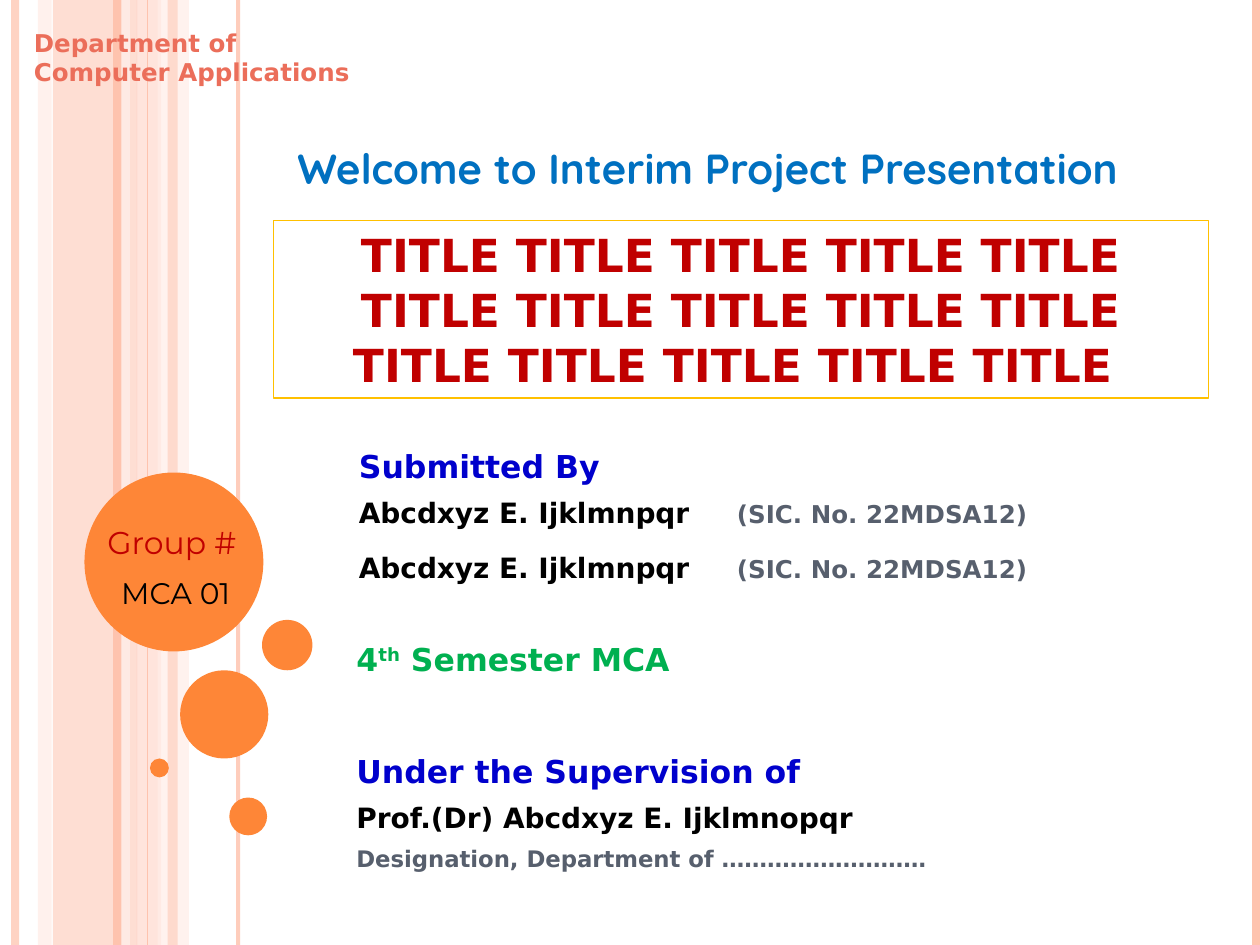
"""Build the interim project presentation title slide."""
from dataclasses import dataclass
from typing import Optional

from lxml import etree
from pptx import Presentation
from pptx import util as u
from pptx.dml.color import RGBColor
from pptx.enum import shapes, text
from pptx.oxml.ns import qn


@dataclass(frozen=True)
class Theme:
    rose: str = "FEC3AE"
    blush: str = "FFD9CE"
    pale: str = "FFEDE8"
    orange: str = "FE8637"
    coral: str = "EB6E5A"
    blue: str = "0000CC"
    sky: str = "0070C0"
    green: str = "00B050"
    red: str = "C00000"
    gold: str = "FFC000"
    slate: str = "575F6D"
    black: str = "000000"
    white: str = "FFFFFF"
    sans: str = "DejaVu Sans"
    round: str = "Quicksand"
    geometric: str = "Montserrat"
    title: int = 26
    welcome: int = 24
    heading: int = 18
    group: int = 17
    name: int = 16
    detail: int = 14
    small: int = 13


T = Theme()


@dataclass(frozen=True)
class Band:
    x: float
    w: float
    color: str
    alpha: int


@dataclass(frozen=True)
class Stripe:
    x: float
    pt: float
    color: str
    alpha: int = 100


@dataclass(frozen=True)
class Dot:
    x: float
    y: float
    d: float


@dataclass(frozen=True)
class Run:
    text: str
    size: int
    color: str
    font: str = T.sans
    bold: bool = True
    raised: bool = False


@dataclass(frozen=True)
class Para:
    runs: tuple[Run, ...]
    before: float = 0
    after: float = 0


HEIGHT = 7.5
BANDS = (Band(0.42, 0.67, T.rose, 54), Band(0.3, 0.11, T.blush, 36),
         Band(1.08, 0.2, T.blush, 70), Band(1.25, 0.25, T.pale, 71))
STRIPES = (Stripe(0.12, 4.5, T.rose, 73), Stripe(1, 4.5, T.pale, 83), Stripe(0.93, 4.5, T.rose),
           Stripe(1.89, 2.25, T.rose, 82), Stripe(1.17, 0.75, T.rose), Stripe(9.97, 4.5, T.rose))
TOP_BAND = Band(1.33, 0.08, T.rose, 51)
DOTS = (Dot(0.67, 3.75, 1.42), Dot(1.43, 5.32, 0.7), Dot(1.19, 6.02, 0.15),
        Dot(1.82, 6.33, 0.3), Dot(2.08, 4.92, 0.4))


def set_alpha(sp, alpha: int) -> None:
    """Make the colours of a shape partly transparent."""
    if alpha < 100:
        for clr in sp._element.spPr.iter(qn("a:srgbClr")):
            etree.SubElement(clr, qn("a:alpha")).set("val", str(alpha * 1000))


def add_box(s, kind, x: float, y: float, w: float, h: float,
            fill: Optional[str] = None, line: Optional[str] = None, alpha: int = 100):
    """Add a preset shape with an optional fill and thin outline."""
    sp = s.shapes.add_shape(kind, u.Inches(x), u.Inches(y), u.Inches(w), u.Inches(h))
    sp.shadow.inherit = False
    if fill:
        sp.fill.solid()
        sp.fill.fore_color.rgb = RGBColor.from_string(fill)
    else:
        sp.fill.background()
    if line:
        sp.line.color.rgb = RGBColor.from_string(line)
        sp.line.width = u.Pt(0.75)
    else:
        sp.line.fill.background()
    set_alpha(sp, alpha)
    return sp


def add_band(s, band: Band) -> None:
    """Add a full-height vertical band."""
    add_box(s, shapes.MSO_SHAPE.RECTANGLE, band.x, 0, band.w, HEIGHT, band.color, alpha=band.alpha)


def add_stripe(s, stripe: Stripe) -> None:
    """Add a full-height vertical line."""
    x = u.Inches(stripe.x)
    cx = s.shapes.add_connector(shapes.MSO_CONNECTOR.STRAIGHT, x, 0, x, u.Inches(HEIGHT))
    cx.line.color.rgb = RGBColor.from_string(stripe.color)
    cx.line.width = u.Pt(stripe.pt)
    set_alpha(cx, stripe.alpha)
    etree.SubElement(cx._element.spPr, qn("a:effectLst"))


def write(sp, *paras: Para, center: bool = False, wrap: bool = True, middle: bool = False) -> None:
    """Fill a shape with formatted paragraphs."""
    tf = sp.text_frame
    tf.word_wrap = wrap
    tf.vertical_anchor = text.MSO_ANCHOR.MIDDLE if middle else text.MSO_ANCHOR.TOP
    for i, para in enumerate(paras):
        p = tf.paragraphs[0] if i == 0 else tf.add_paragraph()
        p.alignment = text.PP_ALIGN.CENTER if center else text.PP_ALIGN.LEFT
        p.space_before, p.space_after = u.Pt(para.before), u.Pt(para.after)
        for run in para.runs:
            r = p.add_run()
            r.text = run.text
            r.font.name, r.font.size, r.font.bold = run.font, u.Pt(run.size), run.bold
            r.font.color.rgb = RGBColor.from_string(run.color)
            if run.raised:
                r.font._element.set("baseline", "30000")


def add_text(s, x: float, y: float, w: float, h: float, *paras: Para, **fmt: bool) -> None:
    """Add a text box holding formatted paragraphs."""
    write(s.shapes.add_textbox(u.Inches(x), u.Inches(y), u.Inches(w), u.Inches(h)), *paras, **fmt)


def student(name: str) -> Para:
    """Return the line for one student and number."""
    return Para((Run(f"{name}\t", T.name, T.black),
                 Run("(SIC. No. 22MDSA12)", T.detail, T.slate)), 6, 6)


def main() -> None:
    """Build and save the slide."""
    prs = Presentation()
    prs.slide_width, prs.slide_height = u.Inches(10), u.Inches(HEIGHT)
    s = prs.slides.add_slide(prs.slide_layouts[6])
    for band in BANDS:
        add_band(s, band)
    for stripe in STRIPES:
        add_stripe(s, stripe)
    add_band(s, TOP_BAND)
    for dot in DOTS:
        add_box(s, shapes.MSO_SHAPE.OVAL, dot.x, dot.y, dot.d, dot.d, T.orange)

    authors = add_box(s, shapes.MSO_SHAPE.RECTANGLE, 2.75, 3.5, 6.08, 1.4, line=T.white)
    write(authors, Para((Run("Submitted By", T.heading, T.blue),), 6),
          student("Abcdxyz E. Ijklmnpqr"), student("Abcdxyz E. Ijklmnpqr "))
    add_text(s, 0.17, 0.17, 3.75, 0.57,
             *(Para((Run(line, T.detail, T.coral),))
               for line in ("Department of", "Computer Applications")))
    add_text(s, 2.73, 5.92, 5.68, 1.17,
             Para((Run("Under the Supervision of", T.heading, T.blue),), 6),
             Para((Run("Prof.(Dr) Abcdxyz E. Ijklmnopqr", T.name, T.black),), 6),
             Para((Run("Designation, Department of ………………………", T.small, T.slate),), 6))
    add_text(s, 2.23, 1.08, 6.77, 0.5,
             Para((Run("Welcome to Interim Project Presentation", T.welcome, T.sky, T.round),)),
             center=True, wrap=False)
    add_text(s, 0.67, 4.51, 1.45, 0.39,
             Para((Run("MCA 01", T.group, T.black, T.geometric, False),)), center=True)
    add_text(s, 0.7, 4.1, 1.33, 0.4,
             Para((Run("Group #", T.heading, T.red, T.geometric, False),)), center=True)
    title = add_box(s, shapes.MSO_SHAPE.RECTANGLE, 2.17, 1.75, 7.42, 1.41, line=T.gold)
    write(title, Para((Run("TITLE " * 15, T.title, T.red),)), center=True, middle=True)
    add_text(s, 2.73, 5.03, 6.85, 0.4,
             Para((Run("4", T.heading, T.green), Run("th", T.heading, T.green, raised=True),
                   Run(" Semester MCA", T.heading, T.green)), after=6))
    prs.save("out.pptx")


if __name__ == "__main__":
    main()
